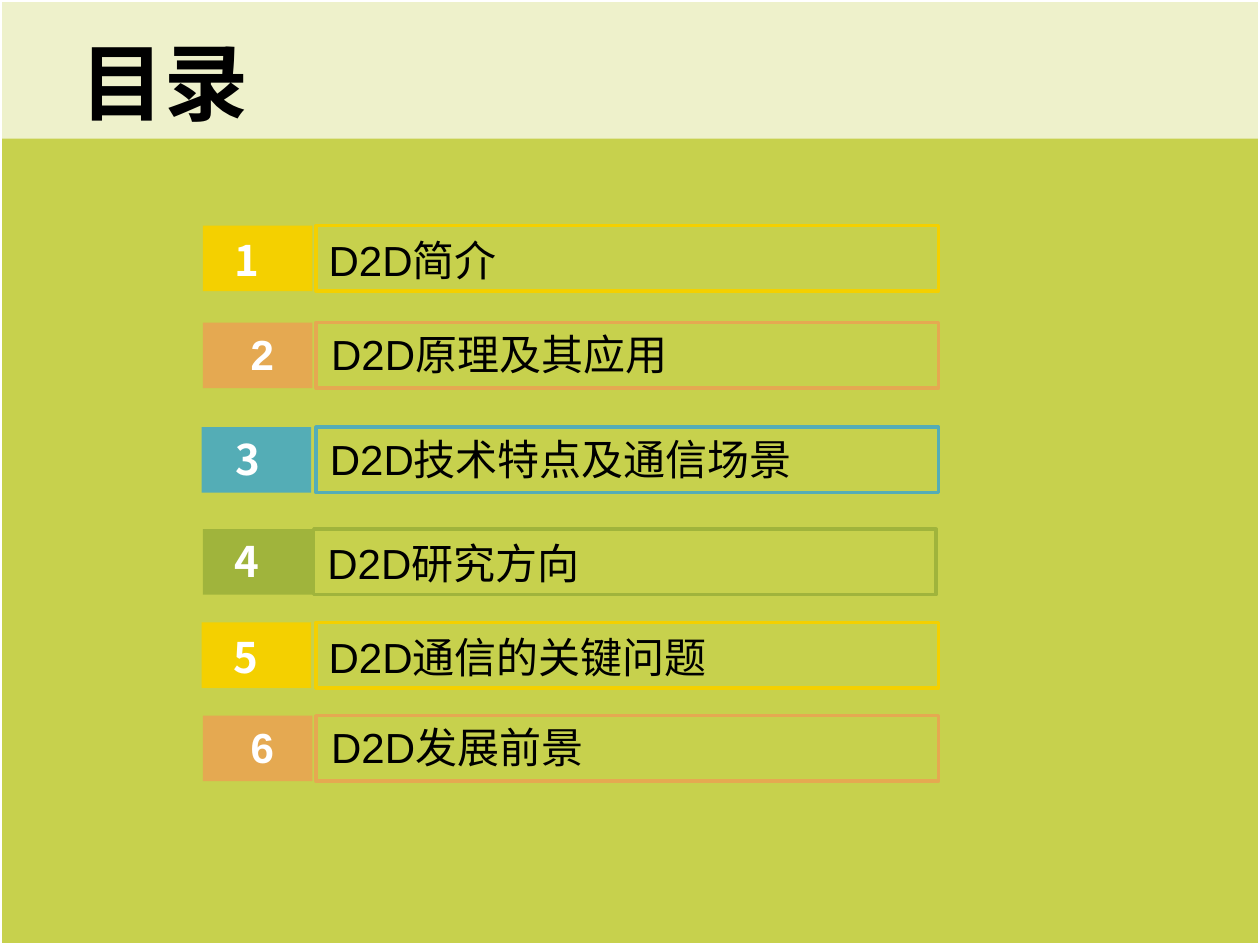
from pptx import Presentation
from pptx import util as u
from pptx.dml.color import RGBColor
from pptx.enum import shapes, text
from pptx.oxml.ns import qn
from lxml import etree

PX = 9144
WHITE = RGBColor(0xFF, 0xFF, 0xFF)
BLACK = RGBColor(0x00, 0x00, 0x00)
LIME = RGBColor(0xC1, 0xCC, 0x3A)
YELLOW = RGBColor(0xF4, 0xD0, 0x00)
ORANGE = RGBColor(0xE5, 0xA9, 0x51)
TEAL = RGBColor(0x54, 0xAD, 0xB6)
GREEN = RGBColor(0xA0, 0xB4, 0x3C)
LATIN, CJK = "Arial", "Noto Sans CJK SC"


class Deck:
    """Holds the style and the current slide, and draws its elements."""

    def __init__(self, width, height):
        self.prs = Presentation()
        self.prs.slide_width, self.prs.slide_height = width * PX, height * PX
        self.s = self.prs.slides.add_slide(self.prs.slide_layouts[6])

    def rect(self, x, y, w, h, fill=None, line=None, alpha=100):
        sp = self.s.shapes.add_shape(
            shapes.MSO_SHAPE.RECTANGLE, x * PX, y * PX, w * PX, h * PX)
        sp.shadow.inherit = False
        if fill is None:
            sp.fill.background()
        else:
            sp.fill.solid()
            sp.fill.fore_color.rgb = fill
            if alpha < 100:
                clr = sp.fill._xPr.find(qn("a:solidFill"))[0]
                etree.SubElement(clr, qn("a:alpha"), val=str(alpha * 1000))
        if line is None:
            sp.line.fill.background()
        else:
            sp.line.color.rgb = line
            sp.line.width = u.Pt(2)

    def label(self, x, y, w, h, words, size=24, font=LATIN, color=BLACK,
              bold=False, inset=10):
        tf = self.s.shapes.add_textbox(x * PX, y * PX, w * PX, h * PX).text_frame
        tf.word_wrap = True
        tf.auto_size = text.MSO_AUTO_SIZE.SHAPE_TO_FIT_TEXT
        tf.margin_left = inset * PX
        p = tf.paragraphs[0]
        p.add_run().text = words
        f = p.font
        f.size, f.name, f.bold = u.Pt(size), font, bold
        f.color.rgb = color
        latin = f._rPr.find(qn("a:latin"))
        latin.addnext(latin.makeelement(qn("a:ea"), {"typeface": CJK}))

    def entry(self, number, words, color, y, tab_x, box_x, num_x, text_x,
              drop, num_font, inset):
        self.rect(tab_x, y, 87, 52, fill=color)
        self.rect(box_x, y, 494, 52, line=color)
        self.label(num_x, y + drop[0], 87, 50, number, font=num_font,
                   color=WHITE, bold=True, inset=inset)
        self.label(text_x, y + drop[1], 496, 50, words)


def main():
    deck = Deck(1000, 750)
    deck.rect(0, 0, 1000, 750, fill=LIME, line=WHITE, alpha=90)
    deck.rect(0, 0, 1000, 110, fill=WHITE, alpha=71)
    deck.label(54, 19, 851, 90, "目录", size=48, font=CJK, bold=True)
    entries = [
        ("D2D简介", YELLOW, 179, 161, 251, 161, 251, (2, 2), CJK, 25),
        ("D2D原理及其应用", ORANGE, 256, 161, 251, 161, 253, (0, 0), LATIN, 38),
        ("D2D技术特点及通信场景", TEAL, 339, 160, 251, 162, 252, (0, 0), CJK, 25),
        ("D2D研究方向", GREEN, 420, 161, 249, 161, 250, (0, 2), CJK, 25),
        ("D2D通信的关键问题", YELLOW, 494, 160, 251, 160, 251, (2, 2), CJK, 25),
        ("D2D发展前景", ORANGE, 568, 161, 251, 161, 253, (0, 0), LATIN, 38),
    ]
    for number, entry in enumerate(entries, 1):
        deck.entry(str(number), *entry)
    deck.prs.save("out.pptx")


if __name__ == "__main__":
    main()
